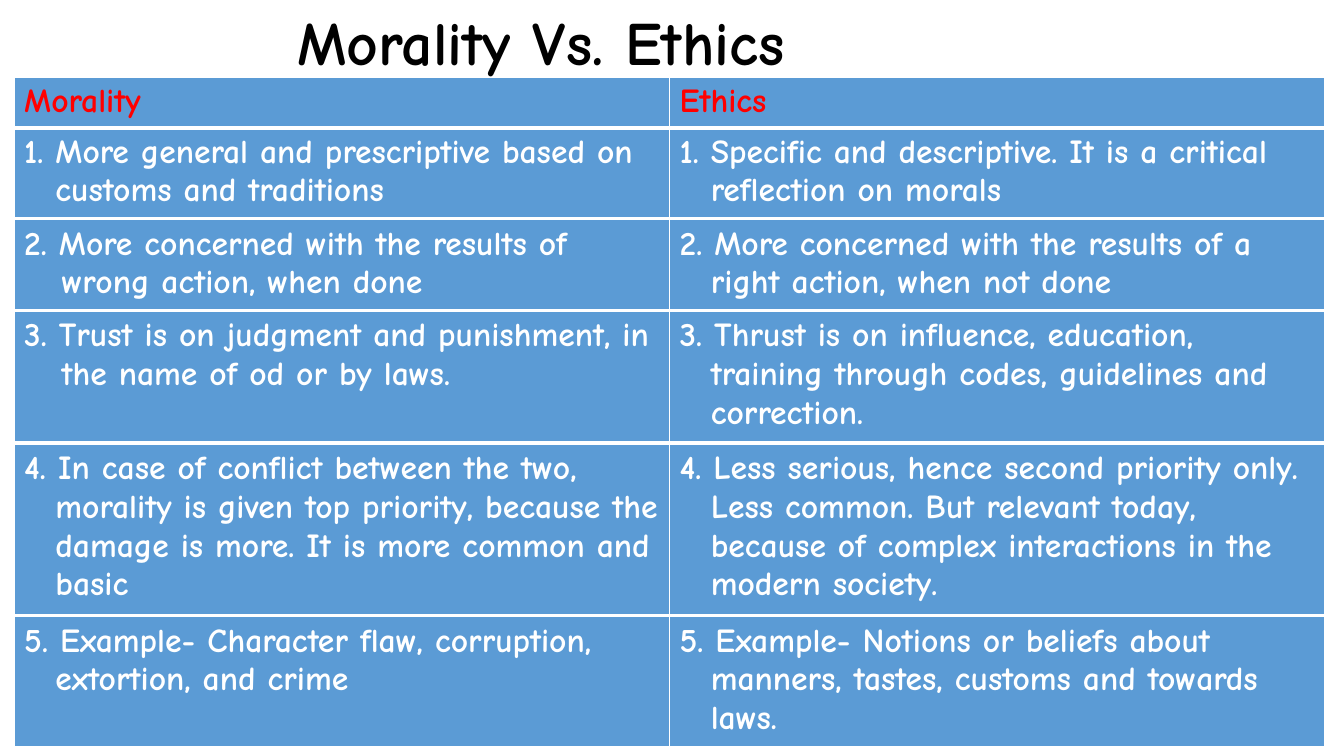
import dataclasses

import lxml.etree
import pptx
import pptx.dml.color
import pptx.enum.text
import pptx.oxml.ns
import pptx.util

EMU_PER_PX = 9144


@dataclasses.dataclass(frozen=True)
class Theme:
    font: str = "Comic Neue"
    title_size: int = 44
    table_size: int = 24
    black: str = "000000"
    white: str = "FFFFFF"
    red: str = "FF0000"
    blue: str = "5B9BD5"


THEME = Theme()
BORDER_POINTS = {"lnL": 1, "lnR": 1, "lnT": 1, "lnB": 3}
COMPARISONS = [
    (127, 90, 31,
     "1. More general and prescriptive based on customs and traditions",
     "1. Specific and descriptive. It is a critical reflection on morals"),
    (218, 90, 37,
     "2. More concerned with the results of wrong action, when done",
     "2. More concerned with the results of a right action, when not done"),
    (309, 130, 37,
     "3. Trust is on judgment and punishment, in the name of od or by laws.",
     "3. Thrust is on influence, education, training through codes, guidelines and correction."),
    (441, 170, 31,
     "4. In case of conflict between the two, morality is given top priority, "
     "because the damage is more. It is more common and basic",
     "4. Less serious, hence second priority only. Less common. But relevant today, "
     "because of complex interactions in the modern society."),
    (612, 130, 31,
     "5. Example- Character flaw, corruption, extortion, and crime",
     "5. Example- Notions or beliefs about manners, tastes, customs and towards laws."),
]


def px(length):
    return pptx.util.Emu(length * EMU_PER_PX)


def rgb(color):
    return pptx.dml.color.RGBColor.from_string(color)


def write_text(text_frame, text, size, color):
    text_frame.text = text
    paragraph = text_frame.paragraphs[0]
    font = paragraph.runs[0].font
    font.name = THEME.font
    font.size = pptx.util.Pt(size)
    font.bold = True
    font.color.rgb = rgb(color)
    return paragraph


def add_borders(cell):
    qualified = pptx.oxml.ns.qn
    properties = cell._tc.get_or_add_tcPr()
    for position, (side, points) in enumerate(BORDER_POINTS.items()):
        line = lxml.etree.Element(qualified(f"a:{side}"), w=str(pptx.util.Pt(points)))
        fill = lxml.etree.SubElement(line, qualified("a:solidFill"))
        lxml.etree.SubElement(fill, qualified("a:srgbClr"), val=THEME.white)
        properties.insert(position, line)


def add_row_table(slide, box, texts, color, indents):
    left, top, width, height = box
    table = slide.shapes.add_table(
        1, len(texts), px(left), px(top), px(width), px(height)).table
    table.first_row = False
    table.horz_banding = False
    for column, text in enumerate(texts):
        table.columns[column].width = px(width // len(texts))
        cell = table.cell(0, column)
        cell.fill.solid()
        cell.fill.fore_color.rgb = rgb(THEME.blue)
        add_borders(cell)
        paragraph = write_text(cell.text_frame, text, THEME.table_size, color)
        properties = paragraph._p.get_or_add_pPr()
        properties.set("marL", str(px(indents[column])))
        properties.set("indent", str(px(-indents[column])))


def add_title(slide, box, text):
    text_frame = slide.shapes.add_textbox(*map(px, box)).text_frame
    text_frame.word_wrap = True
    text_frame.vertical_anchor = pptx.enum.text.MSO_ANCHOR.MIDDLE
    paragraph = write_text(text_frame, text, THEME.title_size, THEME.black)
    paragraph.line_spacing = 0.9


def add_comparison(slide, left, width):
    for top, height, indent, morality, ethics in COMPARISONS:
        add_row_table(slide, (left, top, width, height), (morality, ethics),
                      THEME.white, (indent, 31))
    add_row_table(slide, (left, 77, width, 50), ("Morality", "Ethics"),
                  THEME.red, (0, 0))


def main():
    presentation = pptx.Presentation()
    presentation.slide_width = px(1333)
    presentation.slide_height = px(750)
    slide = presentation.slides.add_slide(presentation.slide_layouts[6])
    add_comparison(slide, 14, 1300)
    add_title(slide, (285, -13, 950, 117), "Morality Vs. Ethics")
    presentation.save("out.pptx")


if __name__ == "__main__":
    main()
